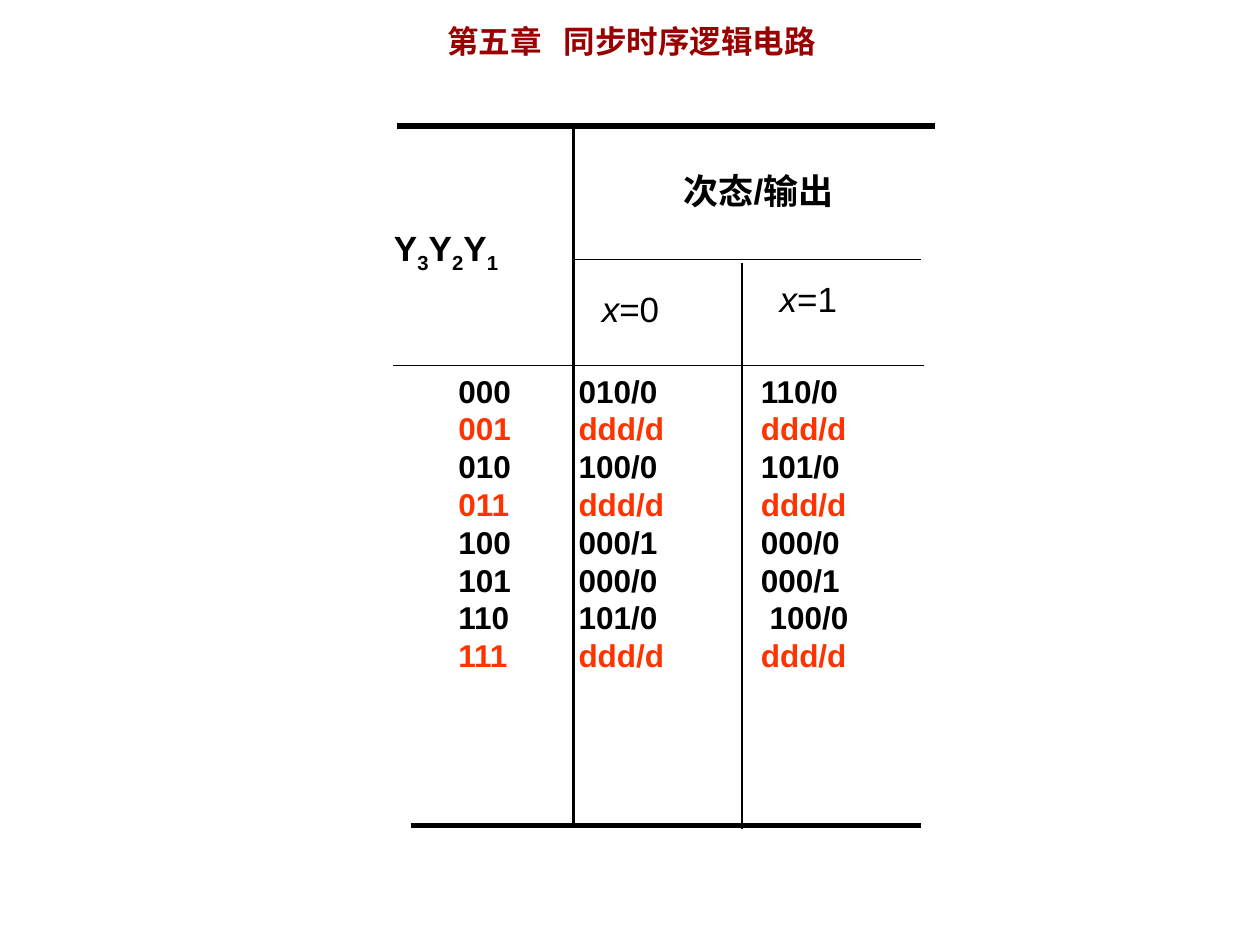
from lxml import etree
from pptx import Presentation
from pptx.dml.color import RGBColor
from pptx.enum.shapes import MSO_CONNECTOR
from pptx.enum.text import MSO_ANCHOR, MSO_AUTO_SIZE, PP_ALIGN
from pptx.oxml.ns import qn
from pptx.util import Pt

STRAIGHT = MSO_CONNECTOR.STRAIGHT
MIDDLE = MSO_ANCHOR.MIDDLE
GROW = MSO_AUTO_SIZE.SHAPE_TO_FIT_TEXT
NO_FIT = MSO_AUTO_SIZE.NONE
LEFT = PP_ALIGN.LEFT

COLORS = {"title": "990000", "ink": "000000", "unused": "FF3300"}
LATIN_FONT = "Arial"
CHINESE_FONT = "Noto Sans CJK JP"

TITLE = "第五章\t同步时序逻辑电路"
TITLE_BOX = (248.5, 9.1, 265, 28.8)
TITLE_TAB = 66.5

# left, top, width, height, runs of (text, style)
HEADINGS = [
    (218, 126, 84, 34.5,
     [("Y", "bold"), ("3", "subscript"), ("Y", "bold"), ("2", "subscript"),
      ("Y", "bold"), ("1", "subscript")]),
    (383.4, 93.6, 120, 31.7, [("次态/输出", "bold")]),
    (336.8, 160.6, 58, 31.7, [("x", "italic"), ("=0", "plain")]),
    (438.5, 154.8, 67.7, 31.7, [("x", "italic"), ("=1", "plain")]),
]

STATES = [
    ("000", "010/0", "110/0"),
    ("001", "ddd/d", "ddd/d"),
    ("010", "100/0", "101/0"),
    ("011", "ddd/d", "ddd/d"),
    ("100", "000/1", "000/0"),
    ("101", "000/0", "000/1"),
    ("110", "101/0", " 100/0"),
    ("111", "ddd/d", "ddd/d"),
]
COLUMNS = [(254.9, 69.1), (323.5, 109.4), (427.7, 107.3)]
STATES_TOP, ROW_HEIGHT, INSET = 208.8, 21.6, 3.6

# start x, start y, end x, end y, weight
RULES = [
    (226.8, 72, 534.2, 72, 3),
    (234.7, 471.6, 526.3, 471.6, 3),
    (327.6, 72, 327.6, 473, 1.5),
    (424.1, 150.5, 424.1, 473.8, 1.5),
    (327.6, 148.3, 526.3, 148.3, 1),
    (224.6, 208.8, 527.8, 208.8, 1),
]


def add_run(paragraph, text, size, color, latin=LATIN_FONT, style="bold"):
    run = paragraph.add_run()
    run.text = text
    font = run.font
    font.size = Pt(size)
    font.name = latin
    font.bold = style in ("bold", "subscript")
    font.italic = style == "italic"
    font.color.rgb = RGBColor.from_string(COLORS[color])
    properties = run._r.get_or_add_rPr()
    if style == "subscript":
        properties.set("baseline", "-25000")
    etree.SubElement(properties, qn("a:ea"), typeface=CHINESE_FONT)


def add_title(slide):
    title = slide.shapes.title
    title.left, title.top, title.width, title.height = map(Pt, TITLE_BOX)
    frame = title.text_frame
    frame.auto_size = NO_FIT
    frame.vertical_anchor = MIDDLE
    frame.margin_top = frame.margin_bottom = 0
    paragraph = frame.paragraphs[0]
    paragraph.alignment = LEFT
    paragraph.space_before = Pt(0)
    tabs = etree.SubElement(paragraph._p.get_or_add_pPr(), qn("a:tabLst"))
    etree.SubElement(tabs, qn("a:tab"), pos=str(Pt(TITLE_TAB)), algn="l")
    add_run(paragraph, TITLE, 18, "title", CHINESE_FONT)


def add_rule(slide, start_x, start_y, end_x, end_y, weight):
    ends = map(Pt, (start_x, start_y, end_x, end_y))
    rule = slide.shapes.add_connector(STRAIGHT, *ends)
    rule.line.width = Pt(weight)
    rule.line.color.rgb = RGBColor.from_string(COLORS["ink"])
    etree.SubElement(rule._element.spPr, qn("a:effectLst"))


def add_box(slide, left, top, width, height):
    box = slide.shapes.add_textbox(*map(Pt, (left, top, width, height)))
    box.text_frame.word_wrap = True
    box.text_frame.auto_size = GROW
    return box.text_frame


def add_column(slide, left, width, entries):
    height = len(entries) * ROW_HEIGHT + 2 * INSET
    frame = add_box(slide, left, STATES_TOP, width, height)
    for index, (entry, color) in enumerate(entries):
        paragraph = frame.add_paragraph() if index else frame.paragraphs[0]
        paragraph.line_spacing = Pt(ROW_HEIGHT)
        add_run(paragraph, entry, 18, color)


def main():
    """Build the state table slide."""
    presentation = Presentation()
    presentation.slide_width, presentation.slide_height = Pt(720), Pt(540)
    slide = presentation.slides.add_slide(presentation.slide_layouts[5])
    add_title(slide)
    for rule in RULES:
        add_rule(slide, *rule)
    for *place, runs in HEADINGS:
        paragraph = add_box(slide, *place).paragraphs[0]
        for text, style in runs:
            add_run(paragraph, text, 20, "ink", style=style)
    row_colors = ["unused" if row[1] == "ddd/d" else "ink" for row in STATES]
    for (left, width), entries in zip(COLUMNS, zip(*STATES)):
        add_column(slide, left, width, list(zip(entries, row_colors)))
    presentation.save("out.pptx")


if __name__ == "__main__":
    main()
